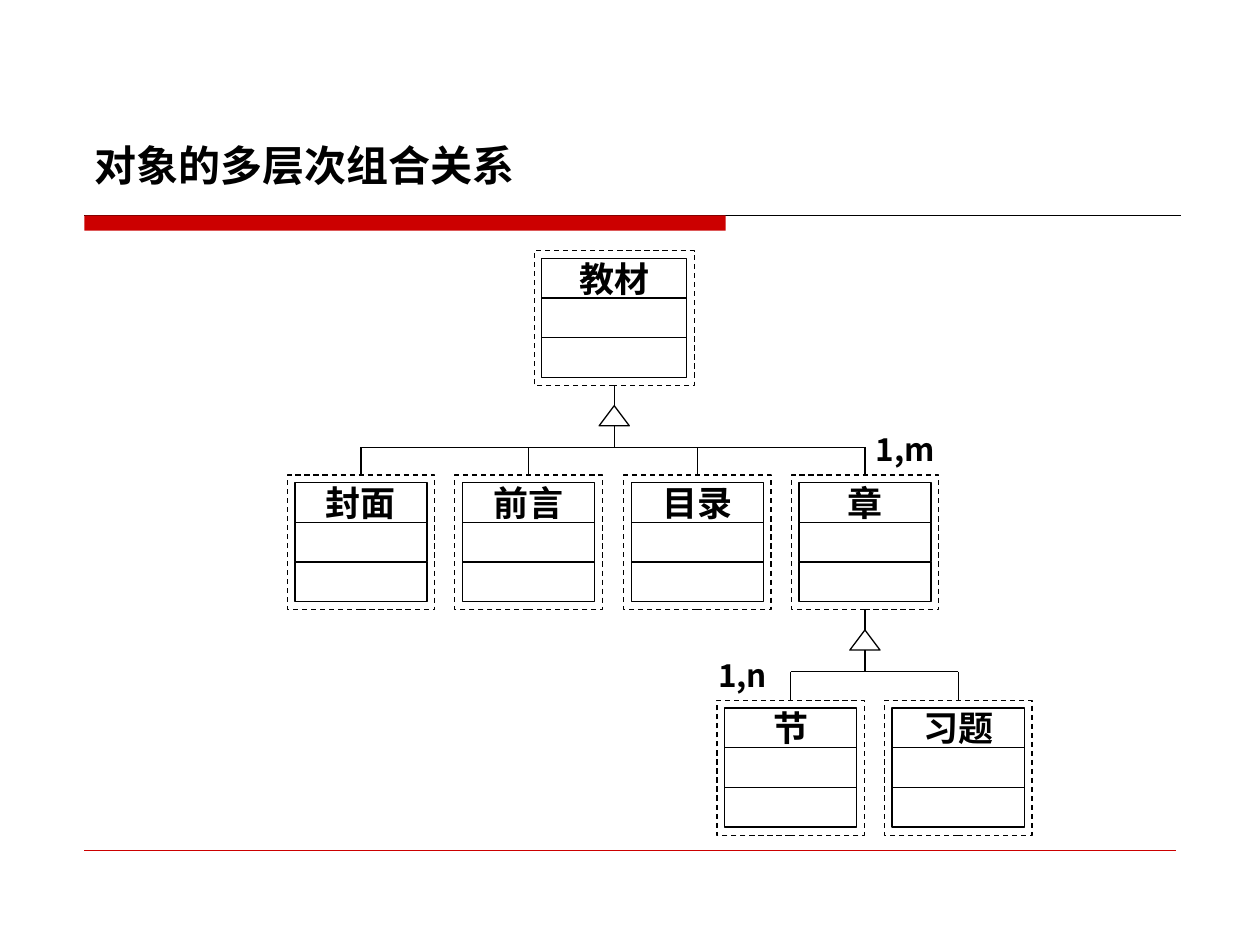
"""Build a slide showing the multi-level composition of a textbook."""
from lxml import etree
from pptx import Presentation
from pptx.dml.color import RGBColor
from pptx.enum.dml import MSO_LINE
from pptx.enum.shapes import MSO_CONNECTOR, MSO_SHAPE
from pptx.enum.text import MSO_ANCHOR, MSO_AUTO_SIZE, PP_ALIGN
from pptx.oxml.ns import qn
from pptx.util import Inches, Pt

RECTANGLE = MSO_SHAPE.RECTANGLE
TRIANGLE = MSO_SHAPE.ISOSCELES_TRIANGLE
STRAIGHT = MSO_CONNECTOR.STRAIGHT
DASH = MSO_LINE.DASH
MIDDLE = MSO_ANCHOR.MIDDLE
NO_FIT = MSO_AUTO_SIZE.NONE
LEFT, CENTER = PP_ALIGN.LEFT, PP_ALIGN.CENTER
FONT = "Noto Sans CJK SC"
BLACK, RED = "000000", "CC0000"
TOP_SIDE, BOTTOM_SIDE = 0, 2

color = RGBColor.from_string

prs = Presentation()
prs.slide_width, prs.slide_height = Inches(10), Inches(7.5)
slide = prs.slides.add_slide(prs.slide_layouts[5])
shapes = slide.shapes


def add_outline(preset, x, y, width, height):
    shape = shapes.add_shape(preset, Inches(x), Inches(y), Inches(width), Inches(height))
    shape.shadow.inherit = False
    shape.fill.background()
    shape.line.color.rgb = color(BLACK)
    shape.line.width = Pt(0.75)
    return shape


def add_rule(x1, y1, x2, y2, hex_color=BLACK, weight=0.75):
    rule = shapes.add_connector(STRAIGHT, Inches(x1), Inches(y1), Inches(x2), Inches(y2))
    rule.line.color.rgb = color(hex_color)
    rule.line.width = Pt(weight)
    etree.SubElement(rule._element.spPr, qn("a:effectLst"))
    return rule


add_rule(0.67, 1.71, 9.37, 1.71)
header_bar = add_outline(RECTANGLE, 0.67, 1.71, 5.09, 0.12)
header_bar.fill.solid()
header_bar.fill.fore_color.rgb = color(RED)
header_bar.line.fill.background()
add_rule(0.67, 6.75, 9.33, 6.75, RED, 0.25)

title = shapes.title
title.left, title.top = Inches(0.75), Inches(1.11)
title.width, title.height = Inches(3.56), Inches(0.4)
texts = [(title, "对象的多层次组合关系", 24, LEFT)]

classes = [
    ("教材", 4.24, 1.99, 1.27),
    ("封面", 2.28, 3.77, 1.17),
    ("前言", 3.61, 3.77, 1.17),
    ("目录", 4.95, 3.77, 1.17),
    ("章", 6.28, 3.77, 1.17),
    ("节", 5.69, 5.56, 1.17),
    ("习题", 7.02, 5.56, 1.17),
]
frames, centers = {}, {}
margin, row_height = 0.06, 0.315
for name, x, y, width in classes:
    frames[name] = add_outline(RECTANGLE, x, y, width, 1.07)
    frames[name].line.dash_style = DASH
    centers[name] = x + width / 2
    rows = [
        add_outline(RECTANGLE, x + margin, y + margin + i * row_height,
                    width - 2 * margin, row_height)
        for i in range(3)
    ]
    texts.append((rows[0], name, 20, CENTER))

compositions = [
    ("教材", 3.06, ["封面", "前言", "目录", "章"]),
    ("章", 4.84, ["节", "习题"]),
]
for whole, bottom, parts in compositions:
    center = centers[whole]
    branch = bottom + 0.49
    stem = add_rule(center, bottom, center, bottom + 0.16)
    stem.begin_connect(frames[whole], BOTTOM_SIDE)
    add_outline(TRIANGLE, center - 0.12, bottom + 0.16, 0.24, 0.16)
    add_rule(center, bottom + 0.32, center, branch)
    add_rule(centers[parts[0]], branch, centers[parts[-1]], branch)
    for part in parts:
        drop = add_rule(centers[part], branch, centers[part], branch + 0.22)
        drop.end_connect(frames[part], TOP_SIDE)

for multiplicity, x, y, width in [("1,m", 6.95, 3.42, 0.5), ("1,n", 5.7, 5.21, 0.42)]:
    label = shapes.add_textbox(Inches(x), Inches(y), Inches(width), Inches(0.29))
    texts.append((label, multiplicity, 18, LEFT))

for holder, text, size, alignment in texts:
    frame = holder.text_frame
    frame.text = text
    frame.word_wrap = True
    frame.auto_size = NO_FIT
    frame.vertical_anchor = MIDDLE
    frame.margin_left = frame.margin_right = frame.margin_top = frame.margin_bottom = 0
    paragraph = frame.paragraphs[0]
    paragraph.alignment = alignment
    paragraph.font.size = Pt(size)
    paragraph.font.bold = True
    paragraph.font.color.rgb = color(BLACK)
    paragraph.font.name = FONT
    defaults = paragraph._p.pPr.find(qn("a:defRPr"))
    etree.SubElement(defaults, qn("a:ea"), typeface=FONT)

prs.save("out.pptx")
